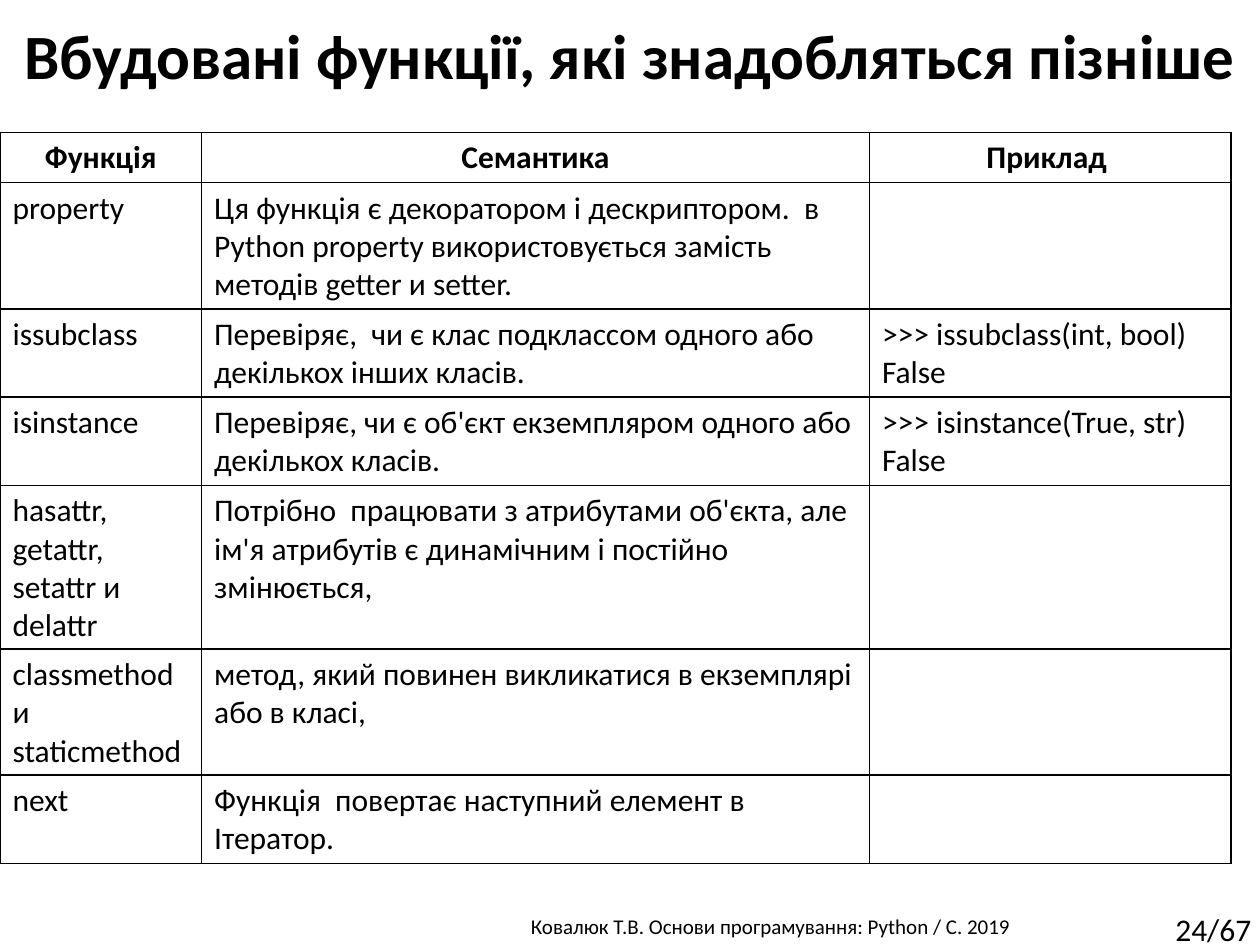
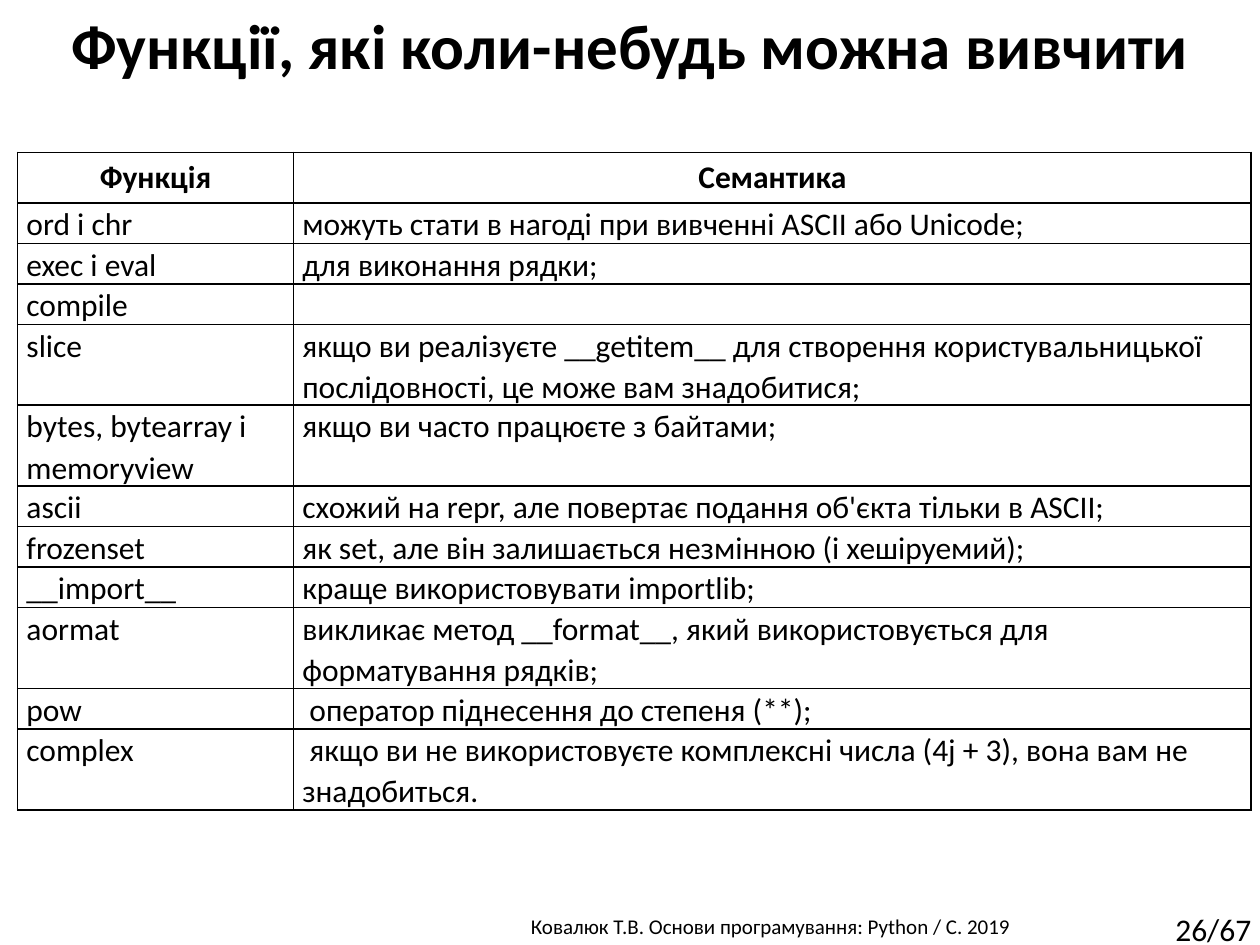
import lxml.etree
import pptx
import pptx.dml.color
import pptx.enum.text
import pptx.oxml.ns
import pptx.util

COLORS = {"ink": "000000", "paper": "FFFFFF"}
FONT = "Calibri"
GRID_COLUMNS, GRID_ROWS = 100, 75
ALIGN = {
    "left": pptx.enum.text.PP_ALIGN.LEFT,
    "center": pptx.enum.text.PP_ALIGN.CENTER,
}

LATER_FUNCTIONS = [
    ("Функція", "Семантика", "Приклад "),
    ("property", "Ця функція є декоратором і дескриптором.  в Python property "
     "використовується замість методів getter и setter.", ""),
    ("issubclass", "Перевіряє,  чи є клас подклассом одного або декількох інших класів.",
     ">>> issubclass(int, bool)\nFalse"),
    ("isinstance", "Перевіряє, чи є об'єкт екземпляром одного або декількох класів.",
     ">>> isinstance(True, str) False"),
    ("hasattr, getattr, setattr и delattr", "Потрібно  працювати з атрибутами об'єкта, "
     "але ім'я атрибутів є динамічним і постійно змінюється,", ""),
    ("classmethod и staticmethod",
     "метод, який повинен викликатися в екземплярі або в класі,", ""),
    ("next", "Функція  повертає наступний елемент в Ітератор.", ""),
]
LATER_LINES = [1, 3, 2, 2, 4, 3, 2]

SOMEDAY_FUNCTIONS = [
    ("Функція", "Семантика"),
    ("ord і chr", "можуть стати в нагоді при вивченні ASCII або Unicode;"),
    ("exec і eval", "для виконання рядки;"),
    ("compile", ""),
    ("slice", "якщо ви реалізуєте __getitem__ для створення користувальницької "
     "послідовності, це може вам знадобитися;"),
    ("bytes, bytearray і memoryview", "якщо ви часто працюєте з байтами;"),
    ("ascii", "схожий на repr, але повертає подання об'єкта тільки в ASCII;"),
    ("frozenset", "як set, але він залишається незмінною (і хешіруемий);"),
    ("__import__", "краще використовувати importlib;"),
    ("аormat", "викликає метод __format__, який використовується для форматування рядків;"),
    ("pow", " оператор піднесення до степеня (**);"),
    ("complex", " якщо ви не використовуєте комплексні числа (4j + 3), "
     "вона вам не знадобиться."),
]
SOMEDAY_LINES = [1, 1, 1, 1, 2, 2, 1, 1, 1, 2, 1, 2]


def write(frame, text, size=18, bold=False, align="left", spacing=None, wrap=True):
    frame.word_wrap = wrap
    for index, line in enumerate(text.split("\n")):
        paragraph = frame.add_paragraph() if index else frame.paragraphs[0]
        paragraph.alignment = ALIGN[align]
        if spacing:
            paragraph.line_spacing = spacing
        if not line:
            continue
        run = paragraph.add_run()
        run.text = line
        run.font.name = FONT
        run.font.size = pptx.util.Pt(size)
        run.font.bold = bold
        run.font.color.rgb = pptx.dml.color.RGBColor.from_string(COLORS["ink"])


class Lecture:
    def __init__(self):
        self.deck = pptx.Presentation()
        self.deck.slide_width = pptx.util.Inches(10)
        self.deck.slide_height = pptx.util.Inches(7.5)
        self.slide = None

    def across(self, columns):
        return round(self.deck.slide_width * columns / GRID_COLUMNS)

    def down(self, rows):
        return round(self.deck.slide_height * rows / GRID_ROWS)

    def start(self, title, title_top, title_height, page):
        self.slide = self.deck.slides.add_slide(self.deck.slide_layouts[6])
        self.text(32.9, 72, 56.9, 3,
                  "Ковалюк Т.В. Основи програмування: Python / C. 2019 ",
                  size=12, align="center")
        self.text(92.3, 71.7, 8.5, 4, page, wrap=False)
        self.text(0, title_top, GRID_COLUMNS, title_height, title,
                  size=36, bold=True, align="center")

    def text(self, left, top, width, height, content, **style):
        box = self.slide.shapes.add_textbox(
            self.across(left), self.down(top), self.across(width), self.down(height))
        write(box.text_frame, content, **style)

    def outline(self, cell):
        properties = cell._tc.get_or_add_tcPr()
        for position, side in enumerate(("lnL", "lnR", "lnT", "lnB")):
            border = lxml.etree.Element(pptx.oxml.ns.qn(f"a:{side}"), w=str(pptx.util.Pt(1)))
            fill = lxml.etree.SubElement(border, pptx.oxml.ns.qn("a:solidFill"))
            lxml.etree.SubElement(fill, pptx.oxml.ns.qn("a:srgbClr"), val=COLORS["ink"])
            properties.insert(position, border)

    def table(self, left, top, widths, heights, entries, compact=False):
        table = self.slide.shapes.add_table(
            len(entries), len(widths), self.across(left), self.down(top),
            self.across(sum(widths)), self.down(sum(heights))).table
        table.first_row = table.horz_banding = False
        for column, width in zip(table.columns, widths):
            column.width = self.across(width)
        for index, (row, height, entry) in enumerate(zip(table.rows, heights, entries)):
            row.height = self.down(height)
            for cell, content in zip(row.cells, entry):
                cell.fill.solid()
                cell.fill.fore_color.rgb = pptx.dml.color.RGBColor.from_string(COLORS["paper"])
                self.outline(cell)
                if index == 0:
                    write(cell.text_frame, content, bold=True, align="center")
                elif compact:
                    cell.margin_left = cell.margin_right = self.across(0.7)
                    cell.margin_top = cell.margin_bottom = 0
                    write(cell.text_frame, content, spacing=1.07)
                else:
                    write(cell.text_frame, content)


def main():
    lecture = Lecture()
    lecture.start("Вбудовані функції, які знадобляться пізніше", 0.8, 13.1, "24/67")
    lecture.table(0, 10.5, [16, 53, 28.7], [1 + 3 * lines for lines in LATER_LINES],
                  LATER_FUNCTIONS)
    lecture.start("Функції, які коли-небудь можна вивчити", 0, 7.1, "26/67")
    lecture.table(1.4, 12.1, [21.9, 76],
                  [4] + [3.2 * lines for lines in SOMEDAY_LINES[1:]],
                  SOMEDAY_FUNCTIONS, compact=True)
    lecture.deck.save("out.pptx")


if __name__ == "__main__":
    main()
